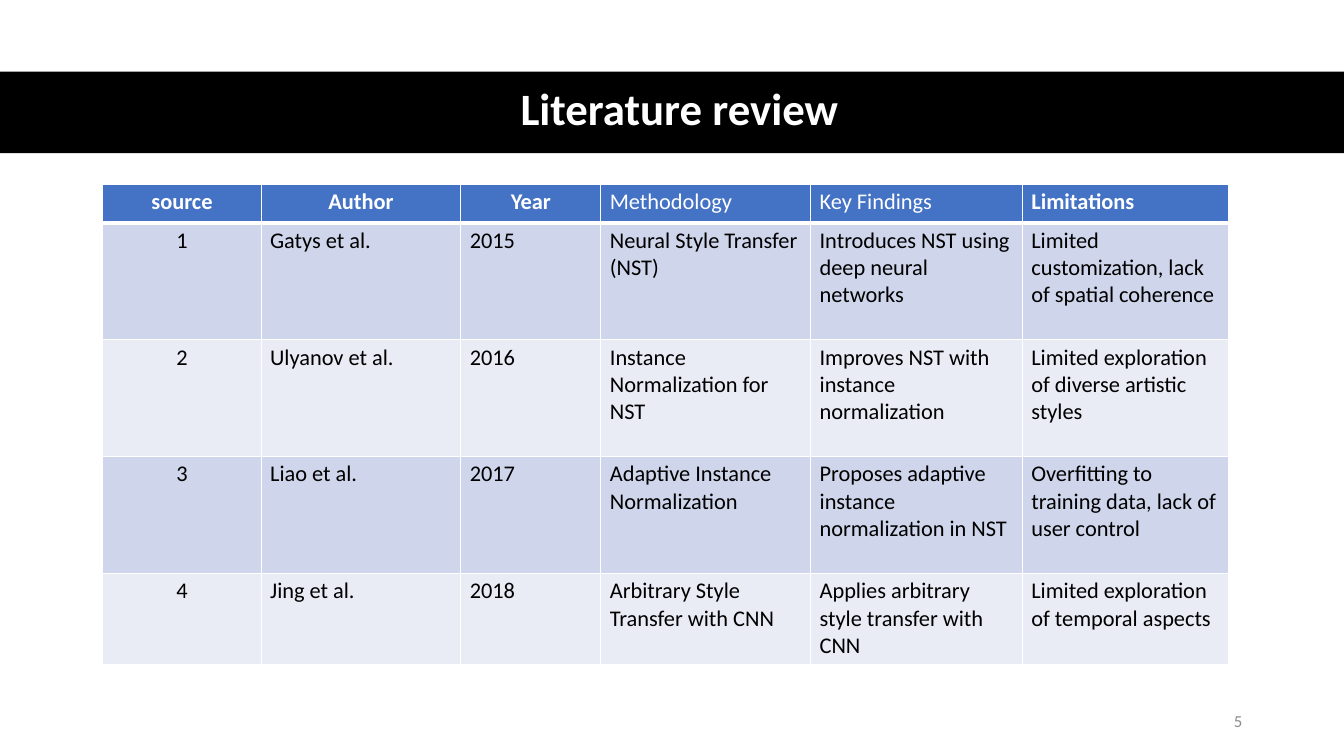
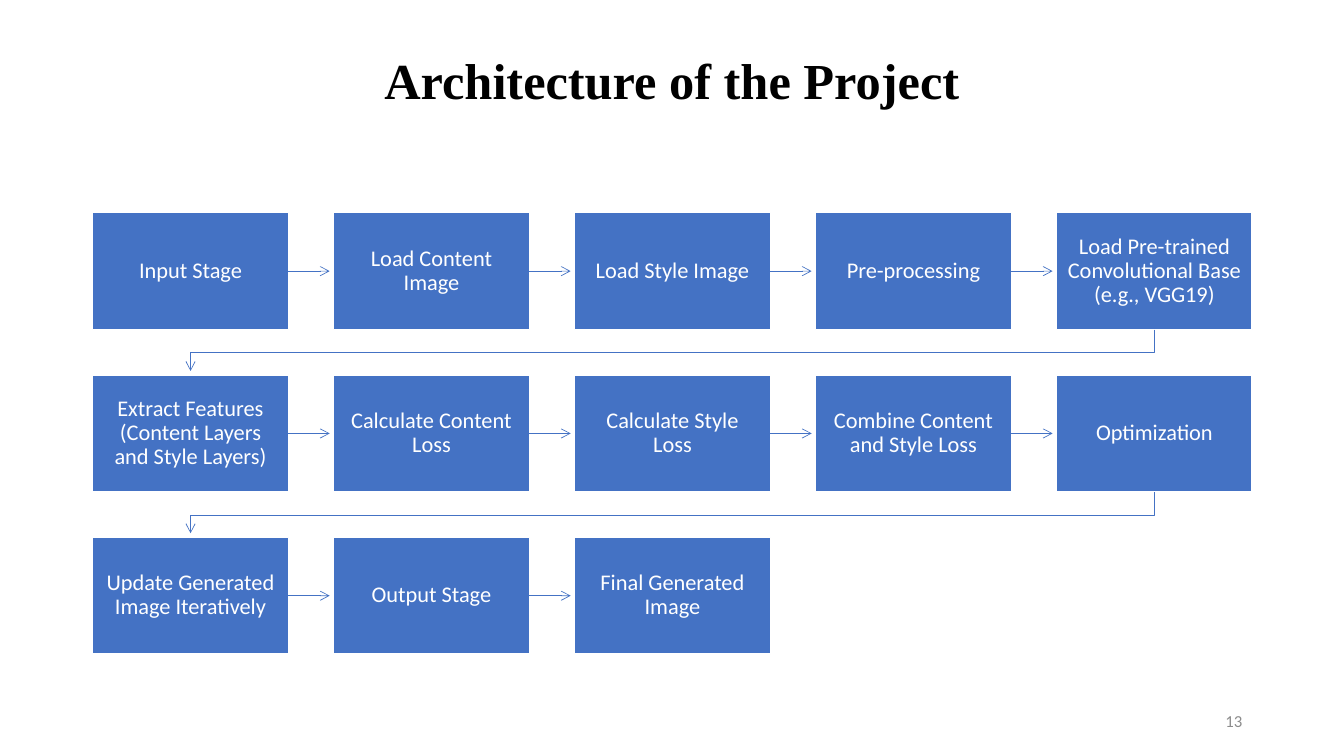
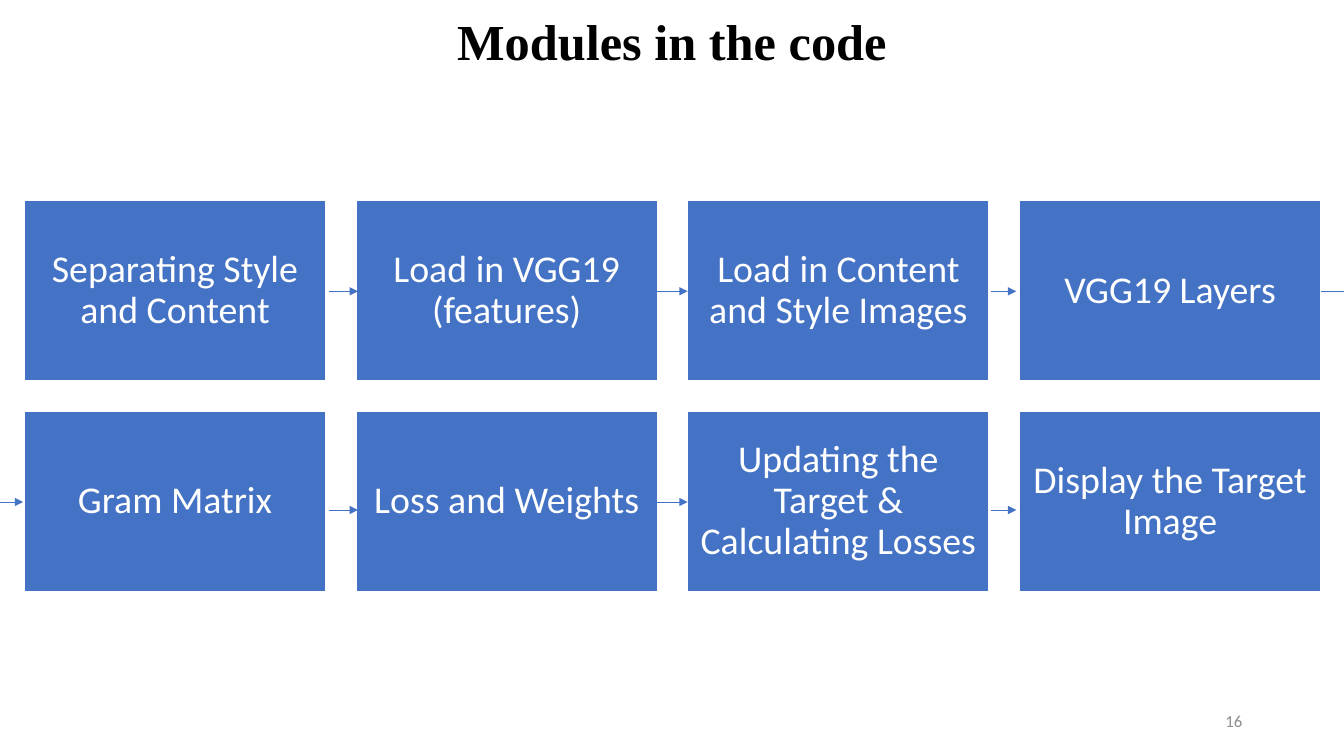
from lxml import etree
from pptx import Presentation
from pptx.dml.color import RGBColor
from pptx.enum.shapes import MSO_CONNECTOR, MSO_SHAPE
from pptx.enum.text import MSO_ANCHOR, PP_ALIGN
from pptx.oxml.ns import qn
from pptx.util import Inches, Pt

RECT, STRAIGHT = MSO_SHAPE.RECTANGLE, MSO_CONNECTOR.STRAIGHT
LEFT, CENTER, RIGHT = PP_ALIGN.LEFT, PP_ALIGN.CENTER, PP_ALIGN.RIGHT
MIDDLE = MSO_ANCHOR.MIDDLE
COLORS = {name: RGBColor.from_string(value) for name, value in {
    "black": "000000", "white": "FFFFFF", "blue": "4472C4",
    "band_dark": "CFD5EA", "band_light": "E9EBF5", "gray": "8C8C8C"}.items()}
SANS, SERIF = "Calibri", "Times New Roman"


def write(tf, text, size, color, align=CENTER, font=SANS, bold=False, spacing=0.9):
    tf.word_wrap = True
    p = tf.paragraphs[0]
    p.text = text
    p.alignment = align
    p.line_spacing = spacing
    p.font.size, p.font.name, p.font.bold = Pt(size), font, bold
    p.font.color.rgb = COLORS[color]


def style_line(line_shape, head=None):
    line_shape.line.color.rgb = COLORS["blue"]
    line_shape.line.width = Pt(0.5)
    spPr = line_shape._element.spPr
    if head:
        etree.SubElement(spPr.find(qn("a:ln")), qn("a:tailEnd"), type=head)
    if spPr.find(qn("a:effectLst")) is None:
        etree.SubElement(spPr, qn("a:effectLst"))


prs = Presentation()
prs.slide_width, prs.slide_height = Inches(13.33), Inches(7.5)

# Titles and page numbers: text, left, top, width, height, size, color, font, page
TITLES = [
    ("Literature review", 0.61, 0.7, 12.26, 0.81, 32, "white", SANS, 5),
    ("Architecture of the Project", 0, 0.4, 13.33, 0.86, 36, "black", SERIF, 13),
    ("Modules in the code", 0, 0, 13.33, 0.88, 36, "black", SERIF, 16),
]
for title, x, y, w, h, size, color, font, page in TITLES:
    s = prs.slides.add_slide(prs.slide_layouts[6])
    if color == "white":
        band = s.shapes.add_shape(RECT, 0, Inches(0.71), prs.slide_width, Inches(0.81))
        band.shadow.inherit = False
        band.fill.solid()
        band.fill.fore_color.rgb = COLORS["black"]
        band.line.fill.background()
    sp = s.shapes.add_textbox(Inches(x), Inches(y), Inches(w), Inches(h))
    sp.text_frame.vertical_anchor = MIDDLE
    write(sp.text_frame, title, size, color, font=font, bold=True)
    sp = s.shapes.add_textbox(Inches(9.42), Inches(6.95), Inches(3), Inches(0.4))
    sp.text_frame.vertical_anchor = MIDDLE
    write(sp.text_frame, str(page), 12, "gray", RIGHT, spacing=1.0)
review, architecture, modules = prs.slides

# Literature table
ROWS = [
    ("source", "Author", "Year", "Methodology", "Key Findings", "Limitations"),
    ("1", "Gatys et al.", "2015", "Neural Style Transfer (NST)",
     "Introduces NST using deep neural networks",
     "Limited customization, lack of spatial coherence"),
    ("2", "Ulyanov et al.", "2016", "Instance Normalization for NST",
     "Improves NST with instance normalization",
     "Limited exploration of diverse artistic styles"),
    ("3", "Liao et al.", "2017", "Adaptive Instance Normalization",
     "Proposes adaptive instance normalization in NST",
     "Overfitting to training data, lack of user control"),
    ("4", "Jing et al.", "2018", "Arbitrary Style Transfer with CNN",
     "Applies arbitrary style transfer with CNN",
     "Limited exploration of temporal aspects"),
]
COL_WIDTHS = [1.57, 1.98, 1.39, 2.08, 2.1, 2.05]
ROW_HEIGHTS = [0.38, 1.16, 1.16, 1.16, 0.9]
table = review.shapes.add_table(len(ROWS), len(COL_WIDTHS), Inches(1.02), Inches(1.83),
                                Inches(sum(COL_WIDTHS)), Inches(sum(ROW_HEIGHTS))).table
table.first_row = table.horz_banding = False
for col, width in zip(table.columns, COL_WIDTHS):
    col.width = Inches(width)
for i, (row, height) in enumerate(zip(ROWS, ROW_HEIGHTS)):
    table.rows[i].height = Inches(height)
    header = i == 0
    fill = "blue" if header else "band_dark" if i % 2 else "band_light"
    for j, text in enumerate(row):
        cell = table.cell(i, j)
        cell.margin_left = cell.margin_right = Inches(0.09)
        cell.margin_top = cell.margin_bottom = Inches(0.04)
        write(cell.text_frame, text, 16, "white" if header else "black",
              CENTER if j == 0 or (header and j < 3) else LEFT,
              bold=header and j not in (3, 4), spacing=1.0)
        # White borders, thicker between header and body
        tcPr = cell._tc.get_or_add_tcPr()
        for side in ("lnL", "lnR", "lnT", "lnB"):
            thick = (i, side) in ((0, "lnB"), (1, "lnT"))
            ln = etree.SubElement(tcPr, qn("a:" + side), w=str(Pt(3 if thick else 1)))
            solid = etree.SubElement(ln, qn("a:solidFill"))
            etree.SubElement(solid, qn("a:srgbClr"), val=str(COLORS["white"]))
        cell.fill.solid()
        cell.fill.fore_color.rgb = COLORS[fill]

# Box grids: slide, columns, left, top, pitch x, pitch y, width, height, size, inset, labels
STAGES = [
    "Input Stage", "Load Content Image", "Load Style Image", "Pre-processing",
    "Load Pre-trained Convolutional Base (e.g., VGG19)",
    "Extract Features (Content Layers and Style Layers)", "Calculate Content Loss",
    "Calculate Style Loss", "Combine Content and Style Loss", "Optimization",
    "Update Generated Image Iteratively", "Output Stage", "Final Generated Image",
]
MODULES = [
    "Separating Style and Content", "Load in VGG19 (features)",
    "Load in Content and Style Images", "VGG19 Layers", "Gram Matrix",
    "Loss and Weights", "Updating the Target & Calculating Losses",
    "Display the Target Image",
]
GRIDS = [
    (architecture, 5, 0.92, 2.11, 2.39, 1.61, 1.94, 1.16, 16, 0.1, STAGES),
    (modules, 4, 0.24, 1.99, 3.29, 2.09, 2.99, 1.79, 27, 0.11, MODULES),
]
for s, cols, left, top, dx, dy, w, h, size, inset, labels in GRIDS:
    for i, label in enumerate(labels):
        x, y = left + i % cols * dx, top + i // cols * dy
        box = s.shapes.add_shape(RECT, Inches(x), Inches(y), Inches(w), Inches(h))
        box.shadow.inherit = False
        box.fill.solid()
        box.fill.fore_color.rgb = COLORS["blue"]
        box.line.color.rgb = COLORS["white"]
        box.line.width = Pt(1)
        tf = box.text_frame
        tf.vertical_anchor = MIDDLE
        tf.margin_left = tf.margin_right = tf.margin_top = tf.margin_bottom = Inches(inset)
        write(tf, label, size, "white")

        # Architecture flow: straight within a row, elbow to the next row
        if s is not architecture or i == len(labels) - 1:
            continue
        if i % cols < cols - 1:
            mid = Inches(y + h / 2)
            arrow = s.shapes.add_connector(STRAIGHT, Inches(x + w), mid,
                                           Inches(x + w + 0.41), mid)
        else:
            start, end, bottom = x + w / 2, left + w / 2, y + h
            fb = s.shapes.build_freeform(Inches(start), Inches(bottom))
            fb.add_line_segments([(Inches(px), Inches(py)) for px, py in (
                (start, bottom + 0.23), (end, bottom + 0.23), (end, bottom + 0.41))],
                close=False)
            arrow = fb.convert_to_shape()
            arrow.fill.background()
        style_line(arrow, "arrow")

# Module arrows: start x, end x, y, head
MODULE_ARROWS = [
    (3.26, 3.55, 2.89, "triangle"), (6.52, 6.82, 2.89, "triangle"),
    (9.83, 10.08, 2.89, "triangle"), (13.1, 13.33, 2.89, None),
    (0, 0.23, 4.98, "triangle"), (3.26, 3.55, 5.06, "triangle"),
    (6.52, 6.82, 4.98, "triangle"), (9.83, 10.08, 5.06, "triangle"),
]
for x1, x2, y, head in MODULE_ARROWS:
    arrow = modules.shapes.add_connector(STRAIGHT, Inches(x1), Inches(y), Inches(x2), Inches(y))
    style_line(arrow, head)

prs.save("out.pptx")
